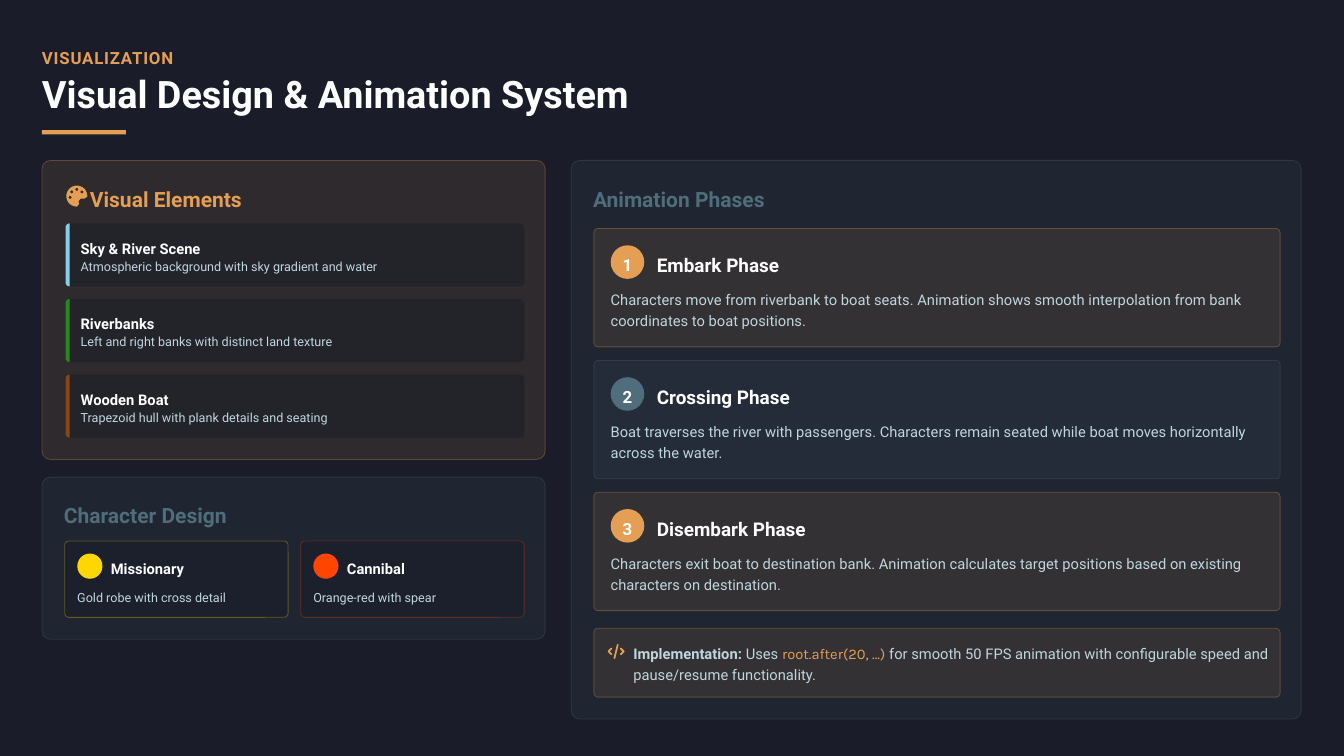
"""Build the slide on visual design and animation phases."""
from math import cos, radians, sin

from lxml import etree
from pptx import Presentation, util as u
from pptx.dml.color import RGBColor
from pptx.enum import shapes as s, text as t
from pptx.oxml.ns import qn

PX = 10160
NIGHT = RGBColor(0x1A, 0x1D, 0x29)
AMBER = RGBColor(0xE5, 0x9F, 0x54)
SLATE = RGBColor(0x4F, 0x6D, 0x7A)
MIST = RGBColor(0xC0, 0xD6, 0xDF)
WHITE = RGBColor(0xFF, 0xFF, 0xFF)
SKY = RGBColor(0x87, 0xCE, 0xEB)
GREEN = RGBColor(0x22, 0x8B, 0x22)
BROWN = RGBColor(0x8B, 0x45, 0x13)
GOLD = RGBColor(0xFF, 0xD7, 0x00)
RED = RGBColor(0xFF, 0x45, 0x00)

CARDS = [
    ((50, 191, 599, 356), AMBER, "Visual Elements", 107),
    ((50, 568, 599, 193), SLATE, "Character Design", 76),
    ((680, 191, 869, 665), SLATE, "Animation Phases", 706),
]
PARTS = [
    ("Sky & River Scene", "Atmospheric background with sky gradient and water", SKY),
    ("Riverbanks", "Left and right banks with distinct land texture", GREEN),
    ("Wooden Boat", "Trapezoid hull with plank details and seating", BROWN),
]
ROLES = [
    ("Missionary", "Gold robe with cross detail", GOLD),
    ("Cannibal", "Orange-red with spear", RED),
]
PHASES = [
    ("Embark Phase", "Characters move from riverbank to boat seats. Animation shows smooth "
     "interpolation from bank coordinates to boat positions.", AMBER),
    ("Crossing Phase", "Boat traverses the river with passengers. Characters remain seated "
     "while boat moves horizontally across the water.", SLATE),
    ("Disembark Phase", "Characters exit boat to destination bank. Animation calculates target "
     "positions based on existing characters on destination.", AMBER),
]
NOTE = [
    ("Implementation:", {"bold": True}),
    (" Uses ", {}),
    ("root.after(20, ...)", {"font": "Karla", "color": AMBER}),
    (" for smooth 50 FPS animation with configurable speed and pause/resume functionality.", {}),
]

deck = Presentation()
deck.slide_width, deck.slide_height = 1600 * PX, 900 * PX
slide = deck.slides.add_slide(deck.slide_layouts[5])
slide.background.fill.solid()
slide.background.fill.fore_color.rgb = NIGHT
tree = slide.shapes


def emu(*box):
    return [n * PX for n in box]


def write(shape, runs, size=14, color=WHITE, bold=False, font="Roboto",
          lead=1.2, align=t.PP_ALIGN.LEFT, gap=0):
    frame = shape.text_frame
    frame.auto_size = t.MSO_AUTO_SIZE.NONE
    frame.word_wrap = True
    frame.vertical_anchor = t.MSO_ANCHOR.MIDDLE
    frame.margin_left = frame.margin_right = frame.margin_top = frame.margin_bottom = 0
    para = frame.paragraphs[0]
    para.alignment, para.line_spacing = align, lead
    base = {"color": color, "bold": bold, "font": font}
    for words, extra in [(runs, {})] if isinstance(runs, str) else runs:
        look = base | extra
        run = para.add_run()
        run.text = words
        run.font.size, run.font.bold = u.Pt(size), look["bold"]
        run.font.name, run.font.color.rgb = look["font"], look["color"]
        if gap:
            run.font._element.set("spc", str(gap))


def label(box, runs, **look):
    write(tree.add_textbox(*emu(*box)), runs, **look)


def paint(shape, fill, alpha=100, line=None):
    shape.shadow.inherit = False
    shape.fill.solid()
    shape.fill.fore_color.rgb = fill
    if line is None:
        shape.line.fill.background()
    else:
        shape.line.color.rgb = line
        shape.line.width = u.Pt(0.8)
    tones = shape._element.spPr.iter(qn("a:srgbClr"))
    for tone, part in zip(list(tones), (alpha, 30)):
        if part < 100:
            etree.SubElement(tone, qn("a:alpha"), val=str(part * 1000))


def panel(box, fill, alpha, line=None, edge=5):
    shape = tree.add_shape(s.MSO_SHAPE.ROUNDED_RECTANGLE, *emu(*box))
    shape.adjustments[0] = edge / min(box[2:])
    paint(shape, fill, alpha, line)


def dot(x, y, size, fill):
    shape = tree.add_shape(s.MSO_SHAPE.OVAL, *emu(x, y, size, size))
    paint(shape, fill)
    return shape


def arc(x, y, r, start, end):
    step = 10 if end > start else -10
    return [(x + r * cos(radians(a)), y - r * sin(radians(a)))
            for a in range(start, end + step, step)]


def draw(x, y, paths, close=True):
    fine = [[((x + a) * 10, (y + b) * 10) for a, b in path] for path in paths]
    pen = tree.build_freeform(*fine[0][0], scale=PX / 10)
    for i, path in enumerate(fine):
        if i:
            pen.move_to(*path[0])
        pen.add_line_segments(path[1:], close=close)
    return pen.convert_to_shape()


label((50, 50, 1510, 30), "VISUALIZATION", size=16, color=AMBER, bold=True, lead=1.3, gap=80)
title = tree.title
title.left, title.top, title.width, title.height = emu(50, 90, 1523, 50)
write(title, "Visual Design & Animation System", size=36, bold=True, lead=0.9)
paint(tree.add_shape(s.MSO_SHAPE.RECTANGLE, *emu(50, 155, 100, 5)), AMBER)

for box, hue, head, left in CARDS:
    panel(box, hue, 10, hue, 10)
    label((left, box[1] + 25, 529, 35), head, size=20, color=hue, bold=True)

rim = arc(0, 0, 12.5, 0, 270) + [(2.7, 9.5), (2, 6), (4.5, 3), (9, 3), (12, 1)]
wells = [arc(a, b, 1.7, 0, 360) for a, b in [(-8, 1.5), (-6, -5), (0, -8), (6, -5)]]
paint(draw(91.5, 233.5, [rim] + wells), AMBER)

strip = [(5, 0), (5, 75)] + arc(5, 70, 5, 270, 180) + arc(5, 5, 5, 180, 90)
for i, (name, info, hue) in enumerate(PARTS):
    y = 266 + 90 * i
    panel((78, y, 546, 75), NIGHT, 50)
    paint(draw(78, y, [strip]), hue)
    label((96, y + 15, 521, 25), name, bold=True)
    label((96, y + 40, 520, 20), info, size=12, color=MIST, lead=1.1)

for i, (name, info, hue) in enumerate(ROLES):
    x, y = 77 + 281 * i, 644
    panel((x, y, 266, 91), NIGHT, 50, hue)
    dot(x + 15, y + 15, 30, hue)
    label((x + 55, y + 18, 190, 25), name, bold=True)
    label((x + 15, y + 56, 242, 20), info, size=12, color=MIST, lead=1.1)

for i, (name, info, hue) in enumerate(PHASES):
    x, y = 707, 272 + 157 * i
    panel((x, y, 817, 141), hue, 10, hue)
    write(dot(x + 20, y + 20, 40, hue), str(i + 1), size=16, bold=True,
          lead=1.3, align=t.PP_ALIGN.CENTER)
    label((x + 75, y + 22, 700, 35), name, size=18, bold=True, lead=1.3)
    label((x + 20, y + 70, 785, 50), info, color=MIST)

panel((707, 748, 817, 82), AMBER, 10, AMBER)
marks = [[(-5.5, -3.5), (-9, 0), (-5.5, 3.5)], [(2, -8), (-2, 8)],
         [(5.5, -3.5), (9, 0), (5.5, 3.5)]]
code = draw(733.5, 775.5, marks, close=False)
code.shadow.inherit = False
code.fill.background()
code.line.color.rgb, code.line.width = AMBER, u.Pt(1.7)
code.line._get_or_add_ln().set("cap", "rnd")
label((754, 763, 762, 51), NOTE, color=MIST)

deck.save("out.pptx")
